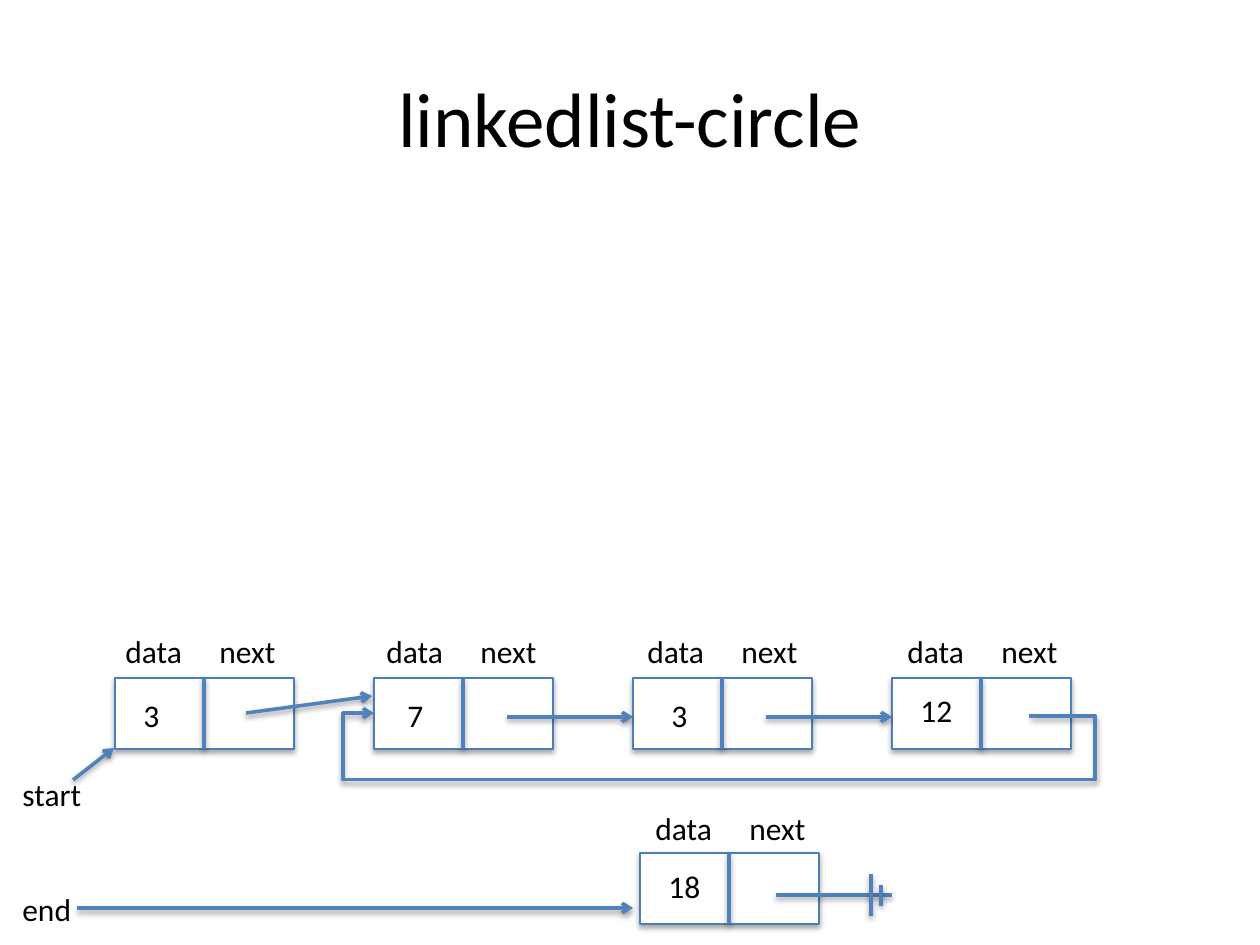
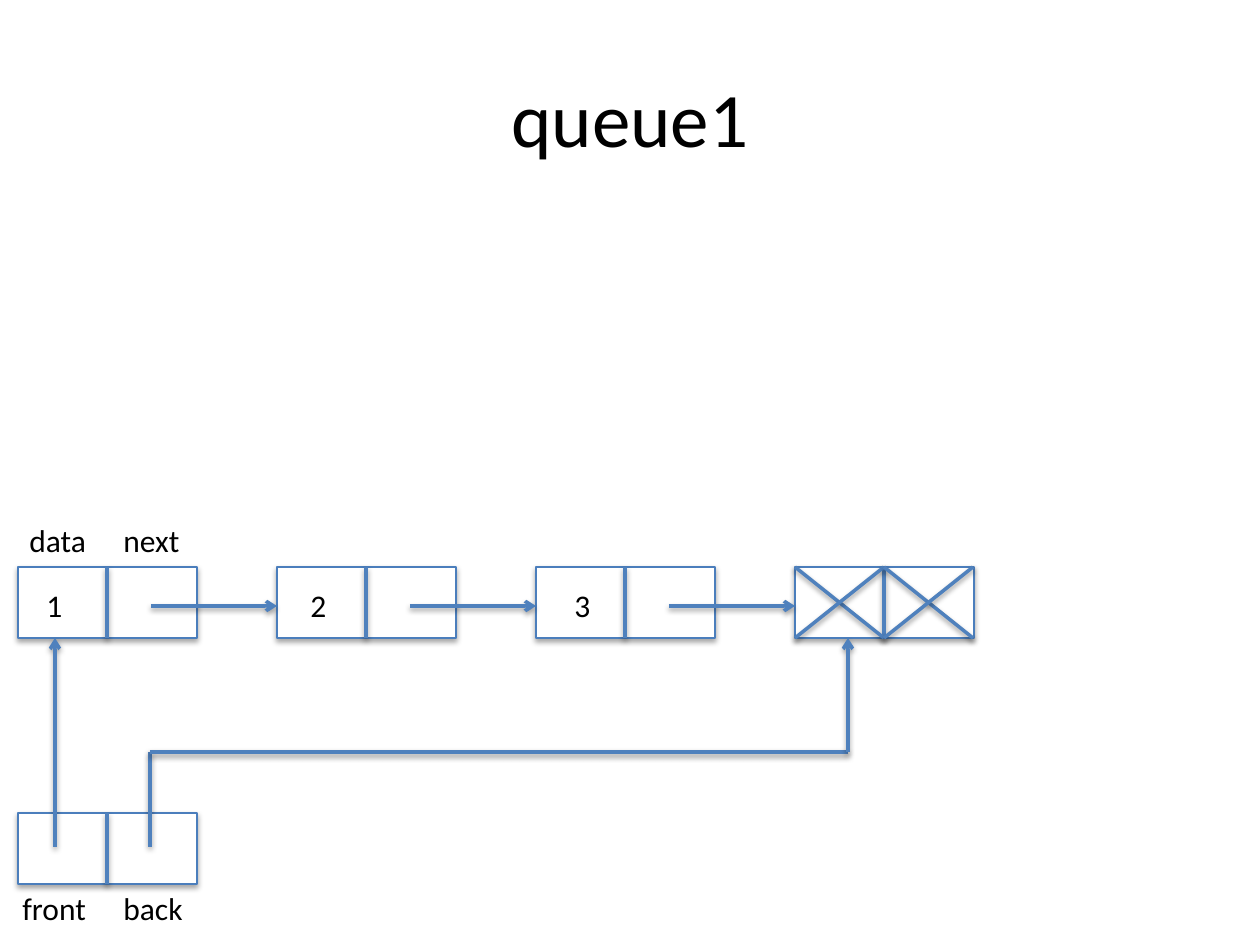
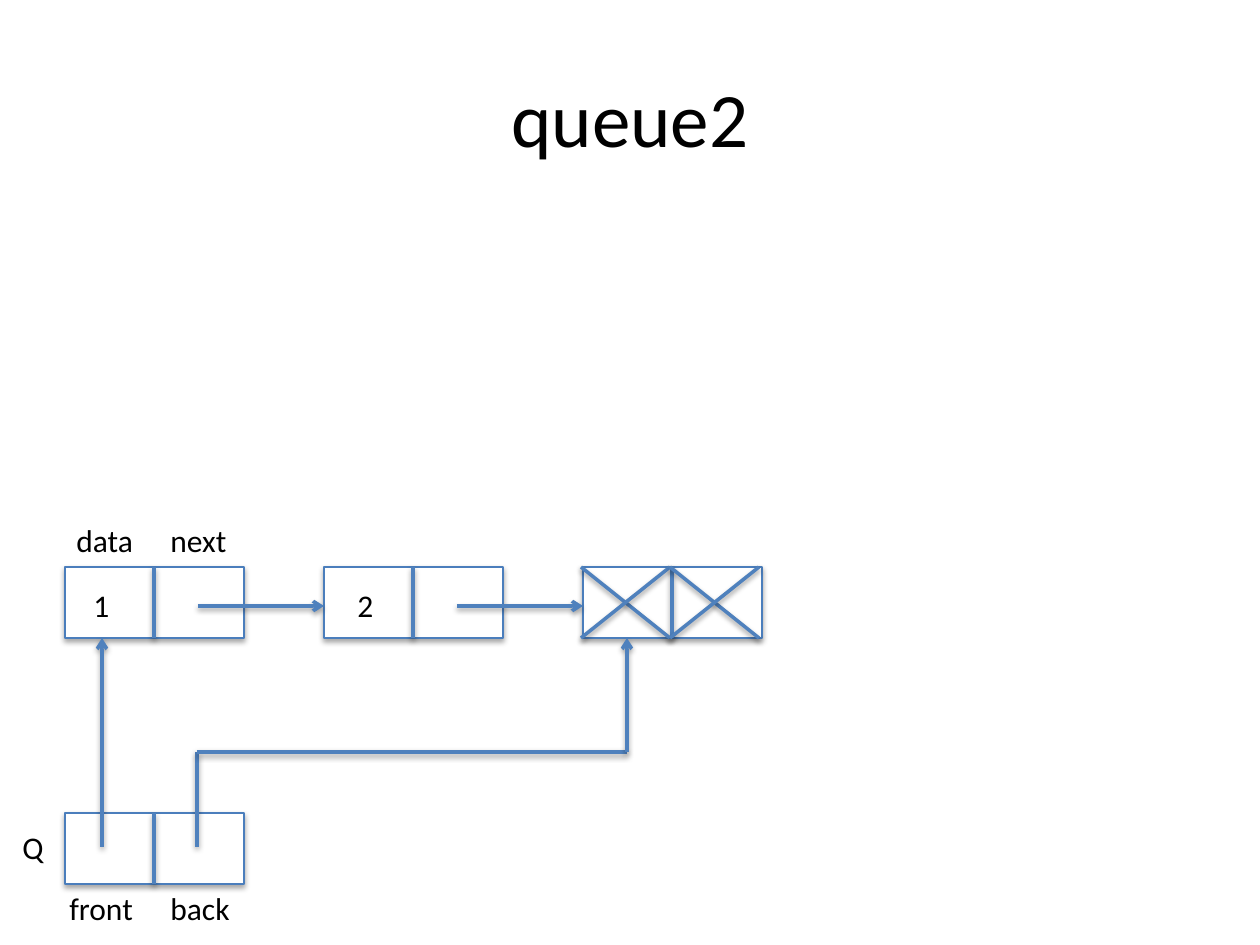
"""Build three slides of linked list and queue diagrams."""
from dataclasses import dataclass

from lxml import etree
from pptx import Presentation
from pptx import util as u
from pptx.dml.color import RGBColor
from pptx.enum import shapes, text
from pptx.oxml.ns import qn

PIXELS_PER_INCH = 126
SLIDE_WIDTH, SLIDE_HEIGHT = 1260, 945
FONT = "Calibri"
BLACK = RGBColor(0x00, 0x00, 0x00)
WHITE = RGBColor(0xFF, 0xFF, 0xFF)
BORDER = RGBColor(0x4B, 0x7E, 0xBC)
BLUE = RGBColor(0x4F, 0x81, 0xBD)

NODE_WIDTH, NODE_HEIGHT = 179, 71
HALF = NODE_WIDTH // 2
NODE_PITCH = 259
VALUE_PITCH = 264
LABEL_HEIGHT = 51
LABEL_WIDTHS = {"data": 83, "next": 82, "front": 89, "back": 86,
                "start": 86, "Q": 47, "12": 58, "18": 58}
DIGIT_WIDTH = 42


@dataclass(frozen=True)
class Node:
    left: int
    top: int


@dataclass(frozen=True)
class Label:
    text: str
    left: int
    top: int


@dataclass(frozen=True)
class Line:
    x1: int
    y1: int
    x2: int
    y2: int
    arrow: bool = False


@dataclass(frozen=True)
class Diagram:
    title: str
    nodes: list[Node]
    lines: list[Line]
    labels: list[Label]


def px(pixels: float) -> u.Emu:
    """Turn pixels into EMU."""
    return u.Emu(round(pixels * 914400 / PIXELS_PER_INCH))


def add_shadow(shape, distance: int, opacity: int) -> None:
    """Give a shape or connector a soft shadow straight below it."""
    properties = shape.element.spPr
    effects = properties.find(qn("a:effectLst"))
    if effects is None:
        effects = etree.SubElement(properties, qn("a:effectLst"))
    shadow = etree.SubElement(effects, qn("a:outerShdw"), blurRad="40000",
                              dist=str(distance), dir="5400000", rotWithShape="0")
    color = etree.SubElement(shadow, qn("a:srgbClr"), val=str(BLACK))
    etree.SubElement(color, qn("a:alpha"), val=str(opacity * 1000))


def style_connector(connector, arrow: bool) -> None:
    """Set the colour, width, arrowhead and shadow of a connector."""
    connector.line.color.rgb = BLUE
    connector.line.width = u.Pt(2)
    if arrow:
        outline = connector.element.spPr.find(qn("a:ln"))
        etree.SubElement(outline, qn("a:tailEnd"), type="arrow")
    add_shadow(connector, 20000, 38)


def draw_line(canvas, line: Line) -> None:
    """Draw a straight line or arrow."""
    connector = canvas.add_connector(shapes.MSO_CONNECTOR.STRAIGHT, px(line.x1),
                                     px(line.y1), px(line.x2), px(line.y2))
    style_connector(connector, line.arrow)


def draw_node(canvas, node: Node) -> None:
    """Draw a box split into two cells."""
    box = canvas.add_shape(shapes.MSO_SHAPE.RECTANGLE, px(node.left), px(node.top),
                           px(NODE_WIDTH), px(NODE_HEIGHT))
    box.fill.solid()
    box.fill.fore_color.rgb = WHITE
    box.line.color.rgb = BORDER
    box.line.width = u.Pt(0.75)
    box.shadow.inherit = False
    add_shadow(box, 23000, 35)
    middle = node.left + HALF
    draw_line(canvas, Line(middle, node.top, middle, node.top + NODE_HEIGHT))


def draw_label(canvas, label: Label, height: int = LABEL_HEIGHT):
    """Draw unwrapped text, one paragraph a line, and return its frame."""
    lines = label.text.split("\n")
    width = LABEL_WIDTHS.get(lines[0], DIGIT_WIDTH)
    box = canvas.add_textbox(px(label.left), px(label.top), px(width), px(height))
    frame = box.text_frame
    frame.text = label.text
    frame.word_wrap = False
    frame.auto_size = text.MSO_AUTO_SIZE.SHAPE_TO_FIT_TEXT
    for paragraph in frame.paragraphs:
        style_font(paragraph, 18)
    return frame


def style_font(paragraph, size: int) -> None:
    """Set the shared font of a paragraph."""
    paragraph.font.name = FONT
    paragraph.font.size = u.Pt(size)
    paragraph.font.color.rgb = BLACK


def draw_loop(canvas) -> None:
    """Draw the arrow that leads from the last node back to the second."""
    start_x, start_y, end_x, end_y = 1029, 716, 374, 713
    right, bottom, left = 1095, 780, 343
    connector = canvas.add_connector(shapes.MSO_CONNECTOR.ELBOW, px(end_x), px(end_y),
                                     px(start_x), px(start_y))
    properties = connector.element.spPr
    properties.find(qn("a:xfrm")).set("rot", "10800000")
    geometry = properties.find(qn("a:prstGeom"))
    geometry.set("prst", "bentConnector5")
    guides = geometry.find(qn("a:avLst"))
    if guides is None:
        guides = etree.SubElement(geometry, qn("a:avLst"))
    bends = ((start_x - right) / (start_x - end_x),
             (start_y - bottom) / (start_y - end_y),
             (start_x - left) / (start_x - end_x))
    for number, bend in enumerate(bends, 1):
        etree.SubElement(guides, qn("a:gd"), name=f"adj{number}",
                         fmla=f"val {round(bend * 100000)}")
    style_connector(connector, True)


def draw_diagram(presentation, diagram: Diagram):
    """Add a slide with a title and a grouped diagram, and return the group's shapes."""
    slide = presentation.slides.add_slide(presentation.slide_layouts[5])
    title = slide.shapes.title
    title.left, title.top, title.width, title.height = px(63), px(38), px(1134), px(158)
    title.text_frame.text = diagram.title
    title.text_frame.vertical_anchor = text.MSO_ANCHOR.MIDDLE
    paragraph = title.text_frame.paragraphs[0]
    paragraph.alignment = text.PP_ALIGN.CENTER
    style_font(paragraph, 44)
    canvas = slide.shapes.add_group_shape().shapes
    for node in diagram.nodes:
        draw_node(canvas, node)
    for line in diagram.lines:
        draw_line(canvas, line)
    for label in diagram.labels:
        draw_label(canvas, label)
    return canvas


def headings(left: int, top: int) -> list[Label]:
    """Name the two cells of a node."""
    return [Label("data", left, top), Label("next", left + 94, top)]


def node_row(left: int, top: int, count: int) -> list[Node]:
    """Space nodes evenly."""
    return [Node(left + NODE_PITCH * index, top) for index in range(count)]


def value_row(left: int, top: int, values: str) -> list[Label]:
    """Space single-digit values evenly."""
    return [Label(value, left + VALUE_PITCH * index, top)
            for index, value in enumerate(values)]


def draw_circle(presentation) -> None:
    """Draw the list whose last node points back into it."""
    lines = [
        Line(246, 713, 372, 696, True),
        Line(507, 717, 633, 717, True),
        Line(766, 717, 892, 717, True),
        Line(73, 780, 114, 748, True),
        Line(77, 908, 633, 908, True),
        Line(776, 895, 892, 895),
        Line(881, 885, 881, 906),
        Line(871, 874, 871, 916),
    ]
    labels = value_row(131, 690, "373") + [Label("12", 908, 685), Label("18", 656, 861)]
    for left in (113, 374, 635, 895):
        labels += headings(left, 626)
    labels += headings(643, 803)
    nodes = node_row(115, 678, 4) + [Node(640, 853)]
    canvas = draw_diagram(presentation, Diagram("linkedlist-circle", nodes, lines, labels))
    draw_loop(canvas)
    pointers = draw_label(canvas, Label("start\nend", 10, 769), 165)
    pointers.paragraphs[1].space_before = u.Pt(44)


def draw_queue(presentation, title: str, left: int, values: str, back_x: int,
               cross_left: int, extra: tuple[Label, ...] = ()) -> None:
    """Draw a queue of values that ends in a crossed-out node."""
    top, pointer_top, turn = 567, 813, 752
    bottom = top + NODE_HEIGHT
    front_x, next_x, pointer_y = left + 37, left + 132, 847
    lines = [
        Line(front_x, pointer_y, front_x, bottom, True),
        Line(next_x, pointer_y, next_x, turn),
        Line(next_x, turn, back_x, turn),
        Line(back_x, turn, back_x, bottom, True),
    ]
    for index in range(len(values)):
        tip = left + NODE_PITCH * (index + 1)
        lines.append(Line(tip - 126, 606, tip, 606, True))
    for cell in (cross_left, cross_left + HALF):
        lines += [Line(cell, top, cell + HALF, bottom), Line(cell, bottom, cell + HALF, top)]
    labels = value_row(left + 16, 580, values) + headings(left - 1, 515)
    labels += [Label("front", left - 8, 883), Label("back", left + 93, 883), *extra]
    nodes = node_row(left, top, len(values) + 1) + [Node(left, pointer_top)]
    draw_diagram(presentation, Diagram(title, nodes, lines, labels))


def main() -> None:
    """Build and save the presentation."""
    presentation = Presentation()
    presentation.slide_width = px(SLIDE_WIDTH)
    presentation.slide_height = px(SLIDE_HEIGHT)
    draw_circle(presentation)
    draw_queue(presentation, "queue1", 18, "123", 848, 795)
    draw_queue(presentation, "queue2", 65, "12", 627, 581, (Label("Q", 10, 822),))
    presentation.save("out.pptx")


main()
